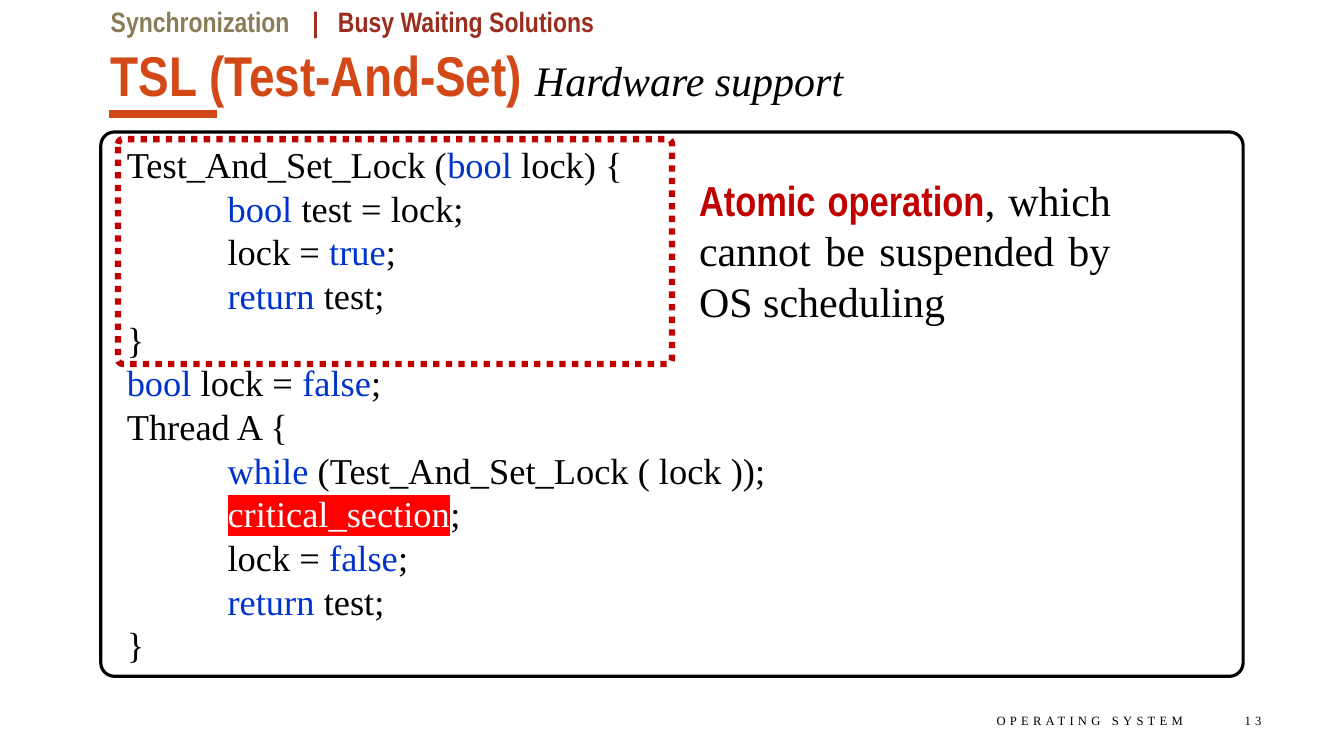
from collections import namedtuple

from lxml.etree import SubElement
from pptx import Presentation
from pptx.dml.color import RGBColor
from pptx.enum.dml import MSO_LINE_DASH_STYLE as Dash
from pptx.enum.shapes import MSO_CONNECTOR as Connector, MSO_SHAPE as Preset
from pptx.enum.text import MSO_ANCHOR as Anchor, MSO_AUTO_SIZE as AutoSize, PP_ALIGN as Align
from pptx.oxml.ns import qn
from pptx.util import Inches, Pt

SERIF, NARROW = "Times New Roman", "Arial Narrow"
BLACK, WHITE, RED, ORANGE = "000000", "FFFFFF", "C00000", "D34817"
KEYWORD, MARKER, OLIVE, BRICK = "0033CC", "FF0000", "8B7B57", "9B2D1F"

CODE = [
    "Test_And_Set_Lock (`bool` lock) {",
    "\t`bool` test = lock;",
    "\tlock = `true`;",
    "\t`return` test;",
    "}",
    "`bool` lock = `false`;",
    "Thread A {",
    "\t`while` (Test_And_Set_Lock ( lock ));",
    "\t`critical_section`;",
    "\tlock = `false`;",
    "\t`return` test;",
    "}",
]

Box = namedtuple("Box", "left top width height")


def within(box, left, top, width, height):
    return Box(box.left + left * box.width, box.top + top * box.height,
               width * box.width, height * box.height)


def emu(box):
    return [Inches(length) for length in box]


def paint(target, color):
    if hasattr(target, "solid"):
        target.solid()
        target = target.fore_color
    target.rgb = RGBColor.from_string(color)


def style(font, size=None, face=None, color=None, bold=None, italic=None):
    if size:
        font.size = Pt(size)
    if face:
        font.name = face
    if color:
        paint(font.color, color)
    if bold is not None:
        font.bold = bold
    if italic is not None:
        font.italic = italic


def add_run(paragraph, text, **look):
    run = paragraph.add_run()
    run.text = text
    style(run.font, **look)
    return run


def highlight(run, color):
    properties = run._r.get_or_add_rPr()
    marker = SubElement(properties, qn("a:highlight"))
    SubElement(marker, qn("a:srgbClr")).set("val", color)
    properties.find(qn("a:solidFill")).addnext(marker)


def add_text(slide, box, anchor=Anchor.TOP):
    frame = slide.shapes.add_textbox(*emu(box)).text_frame
    frame.word_wrap = True
    frame.vertical_anchor = anchor
    return frame.paragraphs[0]


def add_frame(slide, box, corner, color, weight):
    outline = slide.shapes.add_shape(Preset.ROUNDED_RECTANGLE, *emu(box))
    outline.adjustments[0] = corner
    outline.shadow.inherit = False
    outline.fill.background()
    paint(outline.line.fill, color)
    outline.line.width = Pt(weight)
    return outline


def add_heading(slide, box):
    section = add_text(slide, within(box, 0, 0, 1, 0.35))
    style(section.font, size=20, face=NARROW, bold=True)
    add_run(section, "Synchronization\t", color=OLIVE)
    add_run(section, "|   Busy Waiting Solutions", color=BRICK)

    title = slide.shapes.title
    title.left, title.top, title.width, title.height = emu(within(box, 0, 0.31, 1, 0.54))
    frame = title.text_frame
    frame.word_wrap = True
    frame.auto_size = AutoSize.NONE
    frame.vertical_anchor = Anchor.TOP
    topic = frame.paragraphs[0]
    topic.alignment = Align.LEFT
    add_run(topic, "TSL (Test-And-Set) ", size=40, face=NARROW, color=ORANGE, bold=True)
    add_run(topic, "Hardware support", size=30, face=SERIF, color=BLACK, bold=False, italic=True)

    bar = within(box, 0.007, 1, 0.095, 0)
    underline = slide.shapes.add_connector(
        Connector.STRAIGHT, Inches(bar.left), Inches(bar.top),
        Inches(bar.left + bar.width), Inches(bar.top))
    paint(underline.line.fill, ORANGE)
    underline.line.width = Pt(6)
    SubElement(underline._element.spPr, qn("a:effectLst"))


def add_code_panel(slide, box):
    panel = add_frame(slide, box, 0.025, BLACK, 2.25).text_frame
    panel.word_wrap = True
    panel.vertical_anchor = Anchor.MIDDLE
    for number, line in enumerate(CODE):
        paragraph = panel.add_paragraph() if number else panel.paragraphs[0]
        paragraph.alignment = Align.LEFT
        properties = paragraph._p.get_or_add_pPr()
        properties.set("marL", str(Inches(0.12)))
        properties.set("indent", "0")
        properties.set("defTabSz", str(Inches(1)))
        style(paragraph.font, size=26, face=SERIF)
        for part, text in enumerate(line.split("`")):
            if text == "critical_section":
                highlight(add_run(paragraph, text, color=WHITE), MARKER)
            elif text:
                add_run(paragraph, text, color=KEYWORD if part % 2 else BLACK)

    atomic_frame = add_frame(slide, within(box, 0.015, 0.013, 0.485, 0.413), 0.021, RED, 4.5)
    atomic_frame.line.dash_style = Dash.ROUND_DOT

    remark = add_text(slide, within(box, 0.515, 0.069, 0.378, 0.3))
    remark.alignment = Align.JUSTIFY
    style(remark.font, size=30)
    add_run(remark, "Atomic operation", face=NARROW, color=RED, bold=True)
    add_run(remark, ", which cannot be suspended by OS scheduling", face=SERIF, color=BLACK)


def add_footer(slide, box):
    course_share = 0.85
    for text, left, width in (("OPERATING SYSTEM", 0, course_share),
                              ("13", course_share, 1 - course_share)):
        note = add_text(slide, within(box, left, 0, width, 1), Anchor.MIDDLE)
        note.alignment = Align.RIGHT
        style(note.font, size=9, face=SERIF, color=BLACK)
        add_run(note, text)._r.get_or_add_rPr().set("spc", "300")


def main():
    deck = Presentation()
    deck.slide_width, deck.slide_height = Inches(13.33), Inches(7.5)
    slide = deck.slides.add_slide(deck.slide_layouts[5])
    add_heading(slide, Box(1, 0, 11.33, 1.13))
    add_code_panel(slide, Box(1, 1.31, 11.33, 5.4))
    add_footer(slide, Box(7.4, 6.95, 5.21, 0.4))
    deck.save("out.pptx")


if __name__ == "__main__":
    main()
